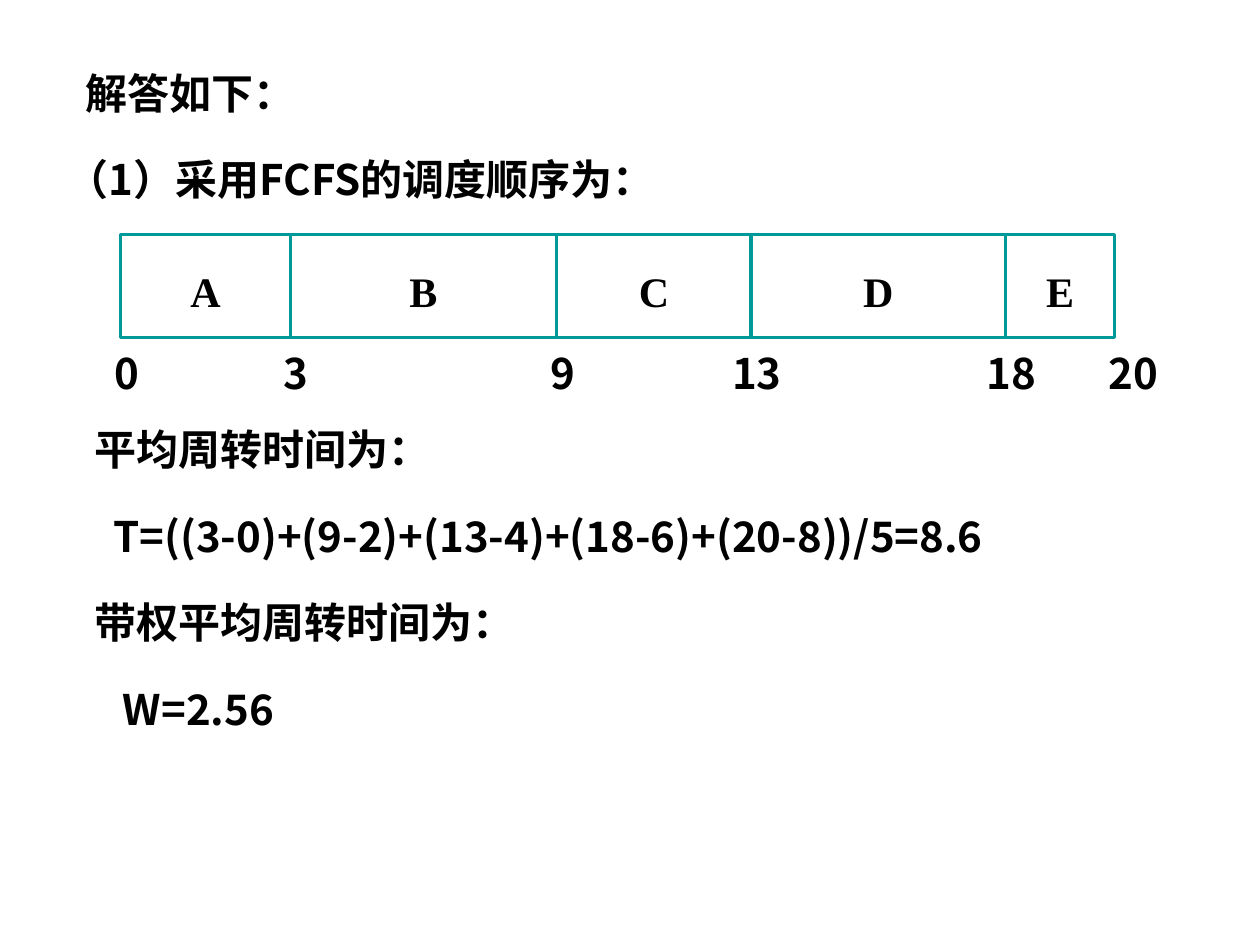
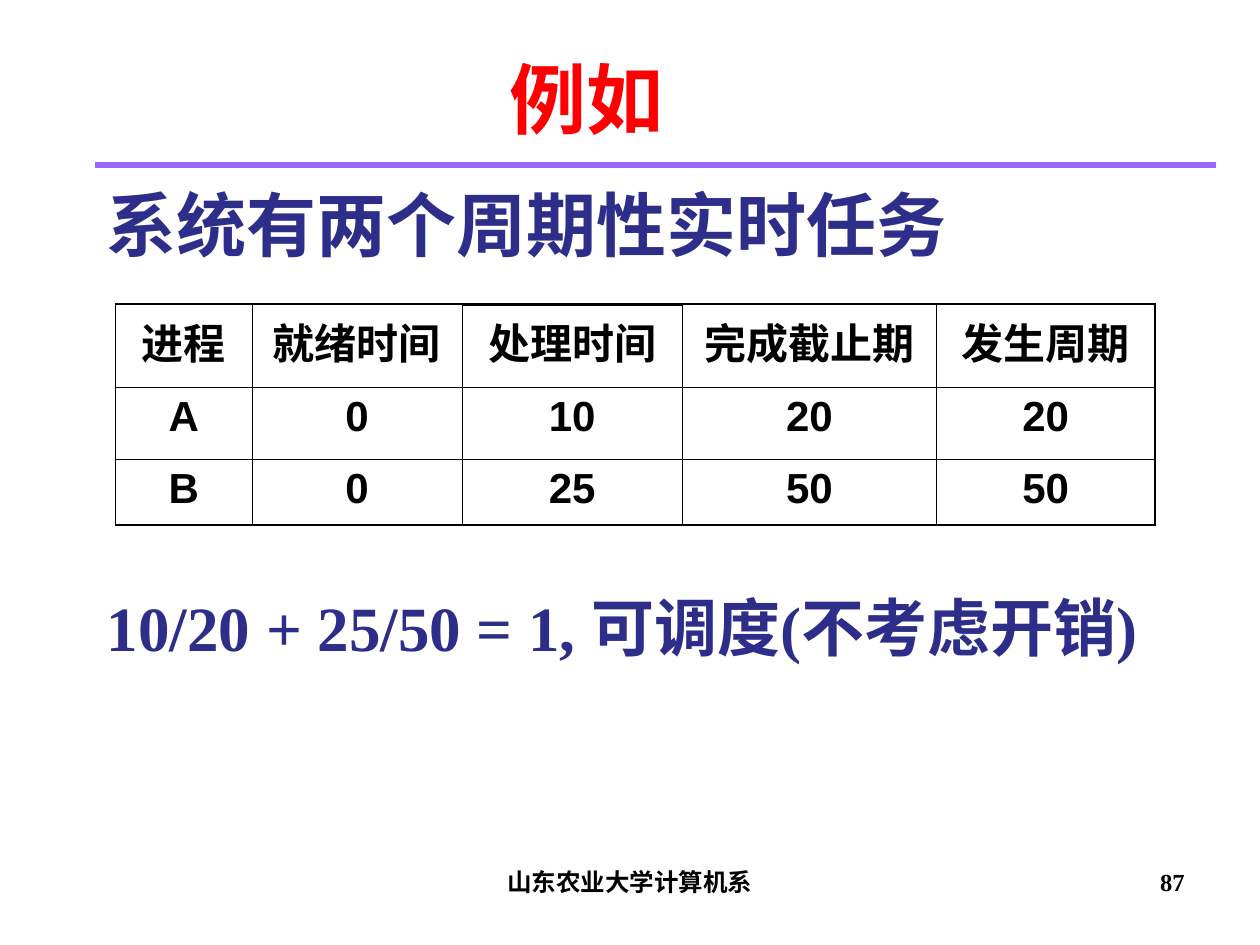
from dataclasses import dataclass
from itertools import accumulate

from lxml import etree
from pptx import Presentation
from pptx.dml.color import RGBColor
from pptx.enum import shapes, text
from pptx.oxml.ns import qn
from pptx.util import Pt

# Shared colours, fonts and insets
BLACK = RGBColor(0x00, 0x00, 0x00)
TEAL = RGBColor(0x00, 0x99, 0x99)
NAVY = RGBColor(0x2D, 0x2D, 0x8A)
RED = RGBColor(0xFF, 0x00, 0x00)
VIOLET = RGBColor(0x99, 0x66, 0xFF)
CJK, SERIF, SANS = "Noto Sans CJK SC", "Times New Roman", "Arial"
INSETS, NO_INSETS = (7.2, 3.6), (0, 0)
LEFT, CENTER, RIGHT = text.PP_ALIGN.LEFT, text.PP_ALIGN.CENTER, text.PP_ALIGN.RIGHT


@dataclass
class Style:
    size: float = 24
    font: str = CJK
    color: RGBColor = BLACK
    align: text.PP_ALIGN = LEFT
    spacing: float = 1.0
    before: float = 0


@dataclass
class Line:
    words: str
    indent: float = 0


@dataclass
class Box:
    left: float
    top: float
    width: float
    height: float
    lines: list[Line]
    style: Style
    insets: tuple[float, float] = INSETS
    grow: bool = True


@dataclass
class Job:
    name: str
    width: float
    end: int


TITLE = Style(44, color=RED)
LEAD = Style(spacing=1.5, before=6)
RESULT = Style(spacing=1.2, before=15)
TICK = Style(align=CENTER, spacing=1.2)
JOB = Style(font=SERIF, align=CENTER, spacing=1.2)
FOOTER = Style(14, SERIF, align=CENTER)
PAGE_NUMBER = Style(14, SERIF, align=RIGHT)
CELL = Style(font=SANS, align=CENTER)


def set_attributes(target, values: dict) -> None:
    for name, value in values.items():
        setattr(target, name, value)


def write(tf, lines: list[Line], style: Style) -> None:
    """Fill a text frame, one paragraph a line."""
    for i, line in enumerate(lines):
        p = tf.add_paragraph() if i else tf.paragraphs[0]
        set_attributes(p, {"alignment": style.align, "line_spacing": style.spacing,
                           "space_before": Pt(style.before if i else 0)})
        if line.indent:
            p._p.get_or_add_pPr().set("marL", str(Pt(line.indent)))
        r = p.add_run()
        r.text = line.words
        set_attributes(r.font, {"size": Pt(style.size), "bold": True, "name": style.font})
        r.font.color.rgb = style.color
        etree.SubElement(r._r.get_or_add_rPr(), qn("a:ea"), typeface=CJK)


def add_text(s, box: Box) -> None:
    sp = s.shapes.add_textbox(Pt(box.left), Pt(box.top), Pt(box.width), Pt(box.height))
    side, end = map(Pt, box.insets)
    fit = text.MSO_AUTO_SIZE.SHAPE_TO_FIT_TEXT if box.grow else text.MSO_AUTO_SIZE.NONE
    set_attributes(sp.text_frame, {
        "margin_left": side, "margin_right": side, "margin_top": end,
        "margin_bottom": end, "word_wrap": True, "auto_size": fit})
    write(sp.text_frame, box.lines, box.style)


def add_rule(s, left: float, right: float, y: float, color: RGBColor, width: float) -> None:
    cx = s.shapes.add_connector(shapes.MSO_CONNECTOR.STRAIGHT,
                                Pt(left), Pt(y), Pt(right), Pt(y))
    cx.line.color.rgb = color
    cx.line.width = Pt(width)
    etree.SubElement(cx._element.spPr, qn("a:effectLst"))


def add_timeline(s, jobs: list[Job]) -> None:
    """Draw the jobs end to end with their times below."""
    left, top, height = 69, 134, 59
    edges = list(accumulate((job.width for job in jobs), initial=left))
    for job, x in zip(jobs, edges):
        sp = s.shapes.add_shape(shapes.MSO_SHAPE.RECTANGLE,
                                Pt(x), Pt(top), Pt(job.width), Pt(height))
        sp.shadow.inherit = False
        sp.fill.background()
        sp.line.color.rgb = TEAL
        sp.line.width = Pt(1.75)
        set_attributes(sp.text_frame, {"word_wrap": False,
                                       "vertical_anchor": text.MSO_ANCHOR.MIDDLE})
        write(sp.text_frame, [Line(job.name)], JOB)

    # Times, the last one moved clear of its neighbour
    edges[-1] += 7.2
    for time, x in zip([0, *(job.end for job in jobs)], edges):
        add_text(s, Box(x - 20.7, top + height, 48.2, 34.6, [Line(str(time))],
                        TICK, NO_INSETS))


def set_borders(cell, widths: dict[str, float]) -> None:
    tc_pr = cell._tc.get_or_add_tcPr()
    for i, (side, width) in enumerate(widths.items()):
        ln = etree.Element(qn(f"a:ln{side}"), w=str(Pt(width)))
        fill = etree.SubElement(ln, qn("a:solidFill"))
        etree.SubElement(fill, qn("a:srgbClr"), val=str(BLACK))
        tc_pr.insert(i, ln)


def add_grid(s, left: float, top: float, cols: list[float], heights: list[float],
             rows: list[list[str]]) -> None:
    """Draw a table with a heavier outer border."""
    inner, outer = 0.45, 1.08
    table = s.shapes.add_table(len(rows), len(cols), Pt(left), Pt(top),
                               Pt(sum(cols)), Pt(sum(heights))).table
    set_attributes(table, {"first_row": False, "horz_banding": False})
    for col, width in zip(table.columns, cols):
        col.width = Pt(width)
    for row, height in zip(table.rows, heights):
        row.height = Pt(height)
    for i, row in enumerate(rows):
        for j, words in enumerate(row):
            cell = table.cell(i, j)
            cell.fill.background()
            write(cell.text_frame, [Line(words)], CELL)
            at_edge = {"L": j == 0, "R": j == len(cols) - 1,
                       "T": i == 0, "B": i == len(rows) - 1}
            set_borders(cell, {side: outer if edge else inner
                               for side, edge in at_edge.items()})


def fcfs_slide(prs) -> None:
    s = prs.slides.add_slide(prs.slide_layouts[6])
    add_text(s, Box(31, 20.5, 663, 99.4, [
        Line("解答如下：", 10.8),
        Line("（1）采用FCFS的调度顺序为："),
    ], LEAD))
    add_timeline(s, [Job("A", 96.8, 3), Job("B", 152.4, 9), Job("C", 111, 13),
                     Job("D", 145.4, 18), Job("E", 62.4, 20)])
    add_text(s, Box(54, 236.2, 607, 252, [
        Line("平均周转时间为："),
        Line("T=((3-0)+(9-2)+(13-4)+(18-6)+(20-8))/5=8.6", 10.8),
        Line("带权平均周转时间为："),
        Line("W=2.56", 16.2),
    ], RESULT, NO_INSETS))


def periodic_tasks_slide(prs) -> None:
    s = prs.slides.add_slide(prs.slide_layouts[6])
    # Title, rule and lead
    add_text(s, Box(284, 26.2, 120, 60.5, [Line("例如")], TITLE))
    add_rule(s, 54, 694.8, 94.3, VIOLET, 3)
    add_text(s, Box(54, 100.1, 666, 55.4, [Line("系统有两个周期性实时任务")],
                    Style(40, SANS, NAVY)))

    # Task table, with a heavy rule above the processing time
    left, top, cols = 66, 173.7, [78, 120, 126, 145.2, 124.8]
    add_grid(s, left, top, cols, [47.6, 41, 37.6], [
        ["进程", "就绪时间", "处理时间", "完成截止期", "发生周期"],
        ["A", "0", "10", "20", "20"],
        ["B", "0", "25", "50", "50"],
    ])
    add_rule(s, left + sum(cols[:2]), left + sum(cols[:3]), top + 0.3, BLACK, 2.25)

    # Conclusion and footer
    add_text(s, Box(54, 332.6, 612, 93.6, [Line("10/20 + 25/50 = 1, 可调度(不考虑开销)")],
                    Style(36, SERIF, NAVY)))
    add_text(s, Box(246, 492, 228, 37.5, [Line("山东农业大学计算机系")], FOOTER, grow=False))
    add_text(s, Box(516, 492, 168, 37.5, [Line("87")], PAGE_NUMBER, grow=False))


def main() -> None:
    prs = Presentation()
    prs.slide_width, prs.slide_height = Pt(720), Pt(540)
    fcfs_slide(prs)
    periodic_tasks_slide(prs)
    prs.save("out.pptx")


if __name__ == "__main__":
    main()
